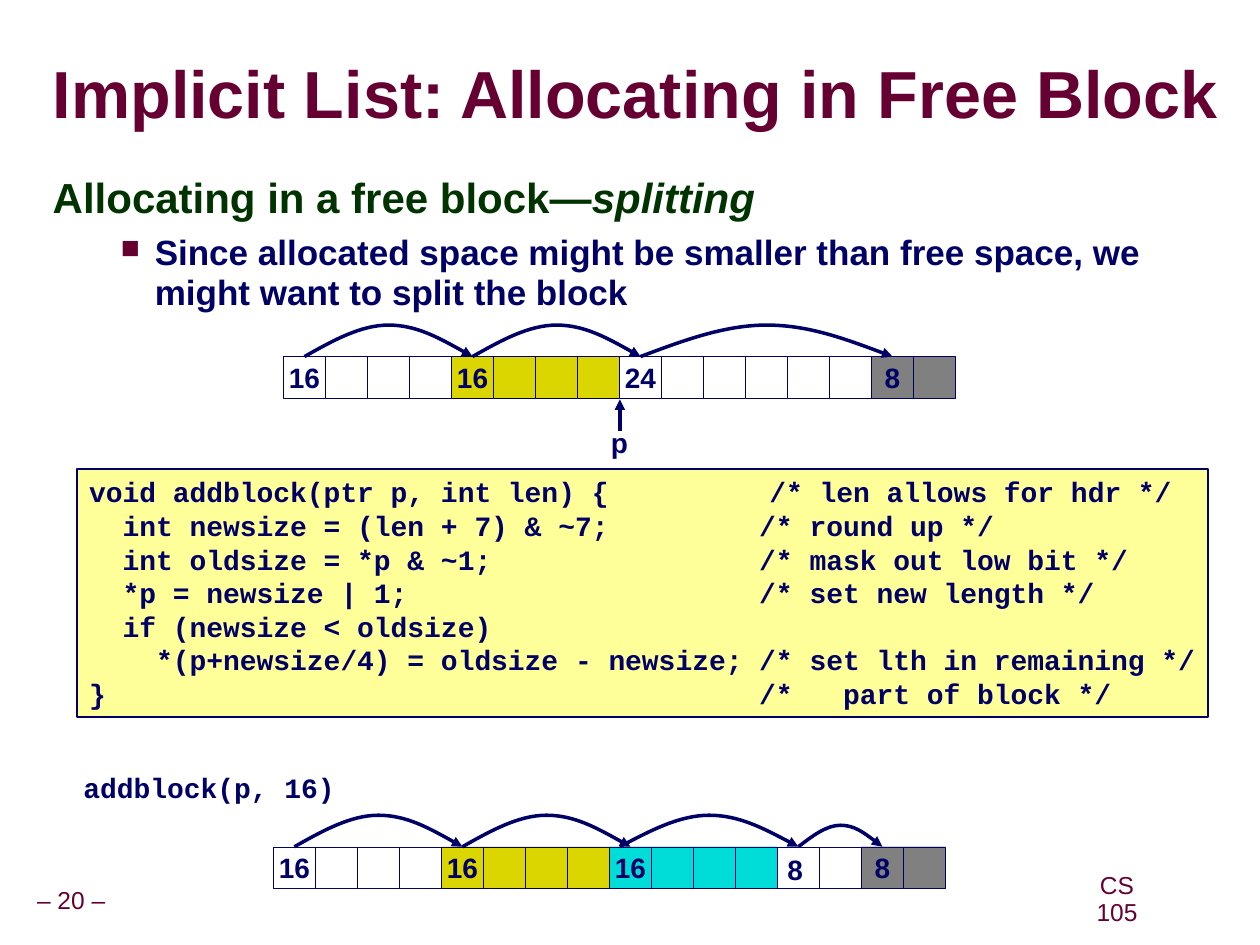
from dataclasses import dataclass
from lxml.etree import SubElement
from pptx import Presentation
from pptx.dml.color import RGBColor
from pptx.enum.shapes import MSO_CONNECTOR, MSO_SHAPE
from pptx.enum.text import MSO_ANCHOR, PP_ALIGN
from pptx.oxml import parse_xml
from pptx.oxml.ns import nsdecls, qn
from pptx.util import Inches, Pt


@dataclass(frozen=True)
class Theme:
    sans: str = "Arial"
    mono: str = "Courier New"
    wine: str = "660033"
    green: str = "003300"
    navy: str = "000066"
    cream: str = "FFFF99"
    white: str = "FFFFFF"
    gold: str = "DBD600"
    aqua: str = "00DDD8"
    gray: str = "808080"
    title: float = 38
    head: float = 24
    body: float = 20
    code: float = 16
    foot: float = 14
    hair: float = 0.25
    edge: float = 1
    stroke: float = 2


@dataclass(frozen=True)
class Block:
    label: str
    size: int
    fill: str


@dataclass(frozen=True)
class Hop:
    start: float
    end: float
    rise: float = 0.25


@dataclass(frozen=True)
class Row:
    left: float
    top: float
    blocks: tuple[Block, ...]
    hops: tuple[Hop, ...]


@dataclass(frozen=True)
class Note:
    text: str
    box: tuple[float, float, float, float]
    font: str
    size: float
    color: str
    bold: bool = True
    inset: float = 0.1
    align: PP_ALIGN = PP_ALIGN.LEFT
    anchor: MSO_ANCHOR = MSO_ANCHOR.TOP
    space: float = 1


T = Theme()
CELL = 1 / 3
ROWS = (
    Row(2.25, 2.83,
        (Block("16", 4, T.white), Block("16", 4, T.gold),
         Block("24", 6, T.white), Block("8", 2, T.gray)),
        (Hop(0.5, 4.5), Hop(4.5, 8.5), Hop(8.5, 14.5))),
    Row(2.17, 6.72,
        (Block("16", 4, T.white), Block("16", 4, T.gold),
         Block("16", 4, T.aqua), Block("", 2, T.white), Block("8", 2, T.gray)),
        (Hop(0.5, 4.5), Hop(4.5, 8.5), Hop(8.25, 12.5), Hop(12.5, 14.5, 0.17))),
)
NOTES = (
    Note("– 20 –", (0, 7, 1.13, 0.31), T.sans, T.foot, T.wine, False, 0.05,
         PP_ALIGN.CENTER, MSO_ANCHOR.MIDDLE, 0.9),
    Note("CS 105", (8.49, 6.99, 0.75, 0.31), T.sans, T.foot, T.wine, False, 0.05,
         PP_ALIGN.CENTER, MSO_ANCHOR.MIDDLE, 0.9),
    Note("p", (4.75, 3.33, 0.33, 0.37), T.sans, T.code, T.navy),
    Note("8", (6.15, 6.72, 0.32, 0.37), T.sans, T.code, T.navy),
    Note("addblock(p, 16)", (0.61, 6.1, 2.1, 0.34), T.mono, T.code, T.navy,
         True, 0.05, PP_ALIGN.CENTER, MSO_ANCHOR.TOP, 0.9),
)
CODE = (
    "void addblock(ptr p, int len) {\t   /* len allows for hdr */",
    "  int newsize = (len + 7) & ~7;         /* round up */",
    "  int oldsize = *p & ~1;                /* mask out low bit */",
    "  *p = newsize | 1;                     /* set new length */",
    "  if (newsize < oldsize)",
    "    *(p+newsize/4) = oldsize - newsize; /* set lth in remaining */",
    "}                                       /*   part of block */",
)


def add_run(para, text: str, font: str, size: float, color: str,
            bold: bool = True, slant: bool = False):
    run = para.add_run()
    run.text = text
    run.font.name = font
    run.font.size = Pt(size)
    run.font.bold = bold
    run.font.italic = slant
    run.font.color.rgb = RGBColor.from_string(color)
    return run


def set_frame(shape, side: float = 0.1, edge: float = 0.05, wrap: bool = False,
              anchor: MSO_ANCHOR = MSO_ANCHOR.TOP):
    frame = shape.text_frame
    frame.margin_left = frame.margin_right = Inches(side)
    frame.margin_top = frame.margin_bottom = Inches(edge)
    frame.word_wrap = wrap
    frame.vertical_anchor = anchor
    return frame


def add_rect(slide, box: tuple, fill: str, width: float):
    rect = slide.shapes.add_shape(MSO_SHAPE.RECTANGLE, *map(Inches, box))
    rect.shadow.inherit = False
    rect.fill.solid()
    rect.fill.fore_color.rgb = RGBColor.from_string(fill)
    rect.line.color.rgb = RGBColor.from_string(T.navy)
    rect.line.width = Pt(width)
    return rect


def add_note(slide, note: Note) -> None:
    box = slide.shapes.add_textbox(*map(Inches, note.box))
    para = set_frame(box, note.inset, anchor=note.anchor).paragraphs[0]
    para.alignment = note.align
    para.line_spacing = note.space
    add_run(para, note.text, note.font, note.size, note.color, note.bold)


def add_title(slide) -> None:
    box = slide.shapes.add_textbox(*map(Inches, (0.42, 0.46, 9.42, 0.63)))
    para = set_frame(box, 0, 0, True, MSO_ANCHOR.MIDDLE).paragraphs[0]
    para.line_spacing = 0.87
    run = add_run(para, "Implicit List: Allocating in Free Block",
                  T.sans, T.title, T.wine)
    shade = parse_xml(
        f'<a:effectLst {nsdecls("a")}><a:outerShdw dist="38100" dir="2700000">'
        f'<a:srgbClr val="{T.gray}"/></a:outerShdw></a:effectLst>')
    run.font._element.find(qn("a:solidFill")).addnext(shade)


def add_body(slide) -> None:
    box = slide.shapes.add_textbox(*map(Inches, (0.32, 1.34, 9.09, 1.25)))
    frame = set_frame(box, wrap=True)
    head = frame.paragraphs[0]
    head.line_spacing = 0.95
    add_run(head, "Allocating in a free block—", T.sans, T.head, T.green)
    add_run(head, "splitting", T.sans, T.head, T.green, slant=True)
    item = frame.add_paragraph()
    item.space_before = Pt(6.2)
    item.line_spacing = 0.95
    props = item._p.get_or_add_pPr()
    props.set("marL", str(Inches(0.81)))
    props.set("indent", str(Inches(-0.27)))
    tint = SubElement(props, qn("a:buClr"))
    SubElement(tint, qn("a:srgbClr"), val=T.wine)
    SubElement(props, qn("a:buSzPct"), val="75000")
    SubElement(props, qn("a:buChar"), char="■")
    add_run(item, "Since allocated space might be smaller than free space, "
            "we might want to split the block", T.sans, T.body, T.navy)


def add_code(slide) -> None:
    rect = add_rect(slide, (0.61, 3.72, 8.98, 1.97), T.cream, T.edge)
    frame = set_frame(rect)
    for i, line in enumerate(CODE):
        para = frame.add_paragraph() if i else frame.paragraphs[0]
        para.alignment = PP_ALIGN.LEFT
        tabs = SubElement(para._p.get_or_add_pPr(), qn("a:tabLst"))
        SubElement(tabs, qn("a:tab"), pos=str(Inches(5)), algn="l")
        add_run(para, line, T.mono, T.code, T.navy)


def add_tip(shape) -> None:
    shape.line.color.rgb = RGBColor.from_string(T.navy)
    shape.line.width = Pt(T.stroke)
    SubElement(shape.line._get_or_add_ln(), qn("a:tailEnd"), type="triangle")


def add_hop(slide, row: Row, hop: Hop) -> None:
    start = row.left + hop.start * CELL
    span = (hop.end - hop.start) * CELL
    knots = ((0, 0), (1 / 6, 0.5), (1 / 3, 1), (0.5, 1), (2 / 3, 1), (5 / 6, 0.5), (1, 0))
    first, *rest = [(Inches(start + x * span), Inches(row.top - y * hop.rise))
                    for x, y in knots]
    pen = slide.shapes.build_freeform(*first)
    pen.add_line_segments(rest, close=False)
    curve = pen.convert_to_shape()
    trace = curve._element.find(".//" + qn("a:path"))
    lines = trace.findall(qn("a:lnTo"))
    for i in range(0, len(lines), 3):
        bend = SubElement(trace, qn("a:cubicBezTo"))
        for line in lines[i:i + 3]:
            bend.append(line[0])
            trace.remove(line)
    curve.shadow.inherit = False
    curve.fill.background()
    add_tip(curve)


def add_row(slide, row: Row) -> None:
    left = row.left
    for block in row.blocks:
        for i in range(block.size):
            rect = add_rect(slide, (left, row.top, CELL, CELL), block.fill, T.hair)
            if i == 0 and block.label:
                para = set_frame(rect, anchor=MSO_ANCHOR.MIDDLE).paragraphs[0]
                para.alignment = PP_ALIGN.CENTER
                add_run(para, block.label, T.sans, T.code, T.navy)
            left += CELL
    for hop in row.hops:
        add_hop(slide, row, hop)


def main() -> None:
    deck = Presentation()
    deck.slide_width, deck.slide_height = Inches(10), Inches(7.5)
    slide = deck.slides.add_slide(deck.slide_layouts[6])
    add_title(slide)
    add_body(slide)
    add_code(slide)
    for row in ROWS:
        add_row(slide, row)
    arrow = slide.shapes.add_connector(
        MSO_CONNECTOR.STRAIGHT, *map(Inches, (4.92, 3.42, 4.92, 3.17)))
    add_tip(arrow)
    SubElement(arrow._element.spPr, qn("a:effectLst"))
    for note in NOTES:
        add_note(slide, note)
    deck.save("out.pptx")


if __name__ == "__main__":
    main()
